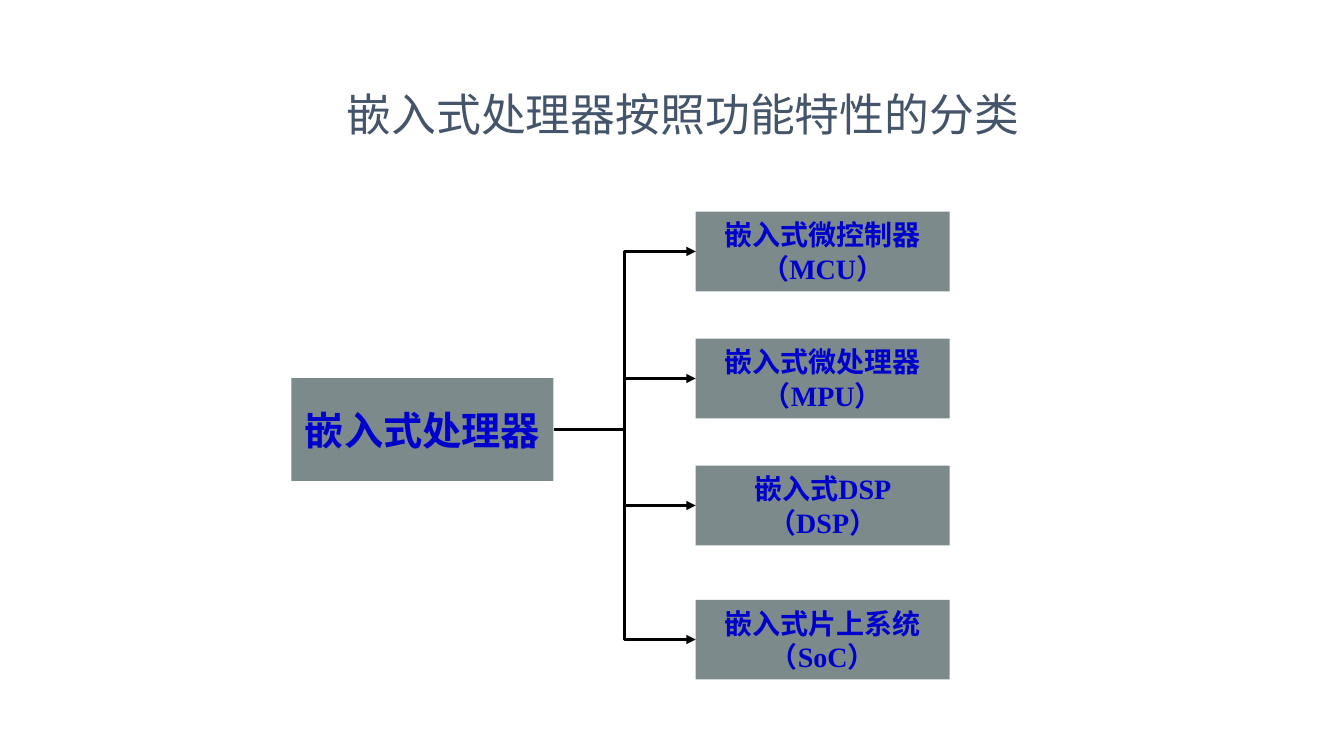
import pptx
import pptx.util
import pptx.dml.color
import pptx.enum.shapes
import pptx.enum.text
import lxml.etree
from dataclasses import dataclass
from pptx.util import Inches

RGB = pptx.dml.color.RGBColor.from_string
CONNECTOR = pptx.enum.shapes.MSO_CONNECTOR
LEFT_SITE, RIGHT_SITE = 1, 3


@dataclass
class Theme:
    title_font: str = "Arial"
    box_font: str = "Times New Roman"
    title_color: str = "44546A"
    box_fill: str = "7C8A8C"
    box_text: str = "0000CC"
    line_color: str = "000000"
    title_size: int = 32
    root_size: int = 28
    branch_size: int = 20
    line_width: float = 2.25


class SlideBuilder:
    def __init__(self, prs, theme):
        self.theme = theme
        self.s = prs.slides.add_slide(prs.slide_layouts[5])

    def format_text(self, tf, font, size, color, bold):
        tf.vertical_anchor = pptx.enum.text.MSO_ANCHOR.MIDDLE
        for p in tf.paragraphs:
            p.alignment = pptx.enum.text.PP_ALIGN.CENTER
            for r in p.runs:
                r.font.name = font
                r.font.size = pptx.util.Pt(size)
                r.font.bold = bold
                r.font.color.rgb = RGB(color)

    def title(self, text, left, top, width, height):
        sp = self.s.shapes.title
        sp.left, sp.top = Inches(left), Inches(top)
        sp.width, sp.height = Inches(width), Inches(height)
        sp.text_frame.text = text
        t = self.theme
        self.format_text(sp.text_frame, t.title_font, t.title_size, t.title_color, False)

    def box(self, text, left, top, width, height, size):
        sp = self.s.shapes.add_shape(
            pptx.enum.shapes.MSO_SHAPE.RECTANGLE,
            Inches(left), Inches(top), Inches(width), Inches(height))
        sp.shadow.inherit = False
        sp.fill.solid()
        sp.fill.fore_color.rgb = RGB(self.theme.box_fill)
        sp.line.fill.background()
        sp.text_frame.text = text
        sp.text_frame.word_wrap = False
        self.format_text(sp.text_frame, self.theme.box_font, size, self.theme.box_text, True)
        return sp

    def arrow(self, kind, x1, y1, x2, y2):
        """Add a connector with an arrowhead at its end; lengths are in inches."""
        c = self.s.shapes.add_connector(kind, Inches(x1), Inches(y1), Inches(x2), Inches(y2))
        c.line.color.rgb = RGB(self.theme.line_color)
        c.line.width = pptx.util.Pt(self.theme.line_width)
        ns = pptx.oxml.ns.qn
        lxml.etree.SubElement(c.line._get_or_add_ln(), ns("a:tailEnd"), type="triangle")
        lxml.etree.SubElement(c._element.spPr, ns("a:effectLst"))
        return c


def main():
    prs = pptx.Presentation()
    prs.slide_width, prs.slide_height = Inches(13.33), Inches(7.5)
    theme = Theme()
    slide = SlideBuilder(prs, theme)
    slide.title("嵌入式处理器按照功能特性的分类", 2.65, 0.68, 8.25, 0.89)

    root_right, root_middle, trunk_x = 5.49, 4.26, 6.2
    root = slide.box("嵌入式处理器", 2.89, 3.75, 2.6, 1.02, theme.root_size)

    branch_left, branch_height = 6.9, 0.79
    branches = [
        ("嵌入式微控制器\n（MCU）", 2.1),
        ("嵌入式微处理器\n（MPU）", 3.36),
        ("嵌入式DSP\n（DSP）", 4.62),
        ("嵌入式片上系统\n（SoC）", 5.95),
    ]
    outer = (0, len(branches) - 1)
    for i, (text, top) in enumerate(branches):
        branch = slide.box(text, branch_left, top, 2.52, branch_height, theme.branch_size)
        middle = top + branch_height / 2
        if i in outer:
            c = slide.arrow(CONNECTOR.ELBOW, root_right, root_middle, branch_left, middle)
            c.begin_connect(root, RIGHT_SITE)
        else:
            c = slide.arrow(CONNECTOR.STRAIGHT, trunk_x, middle, branch_left, middle)
        c.end_connect(branch, LEFT_SITE)

    prs.save("out.pptx")


if __name__ == "__main__":
    main()
